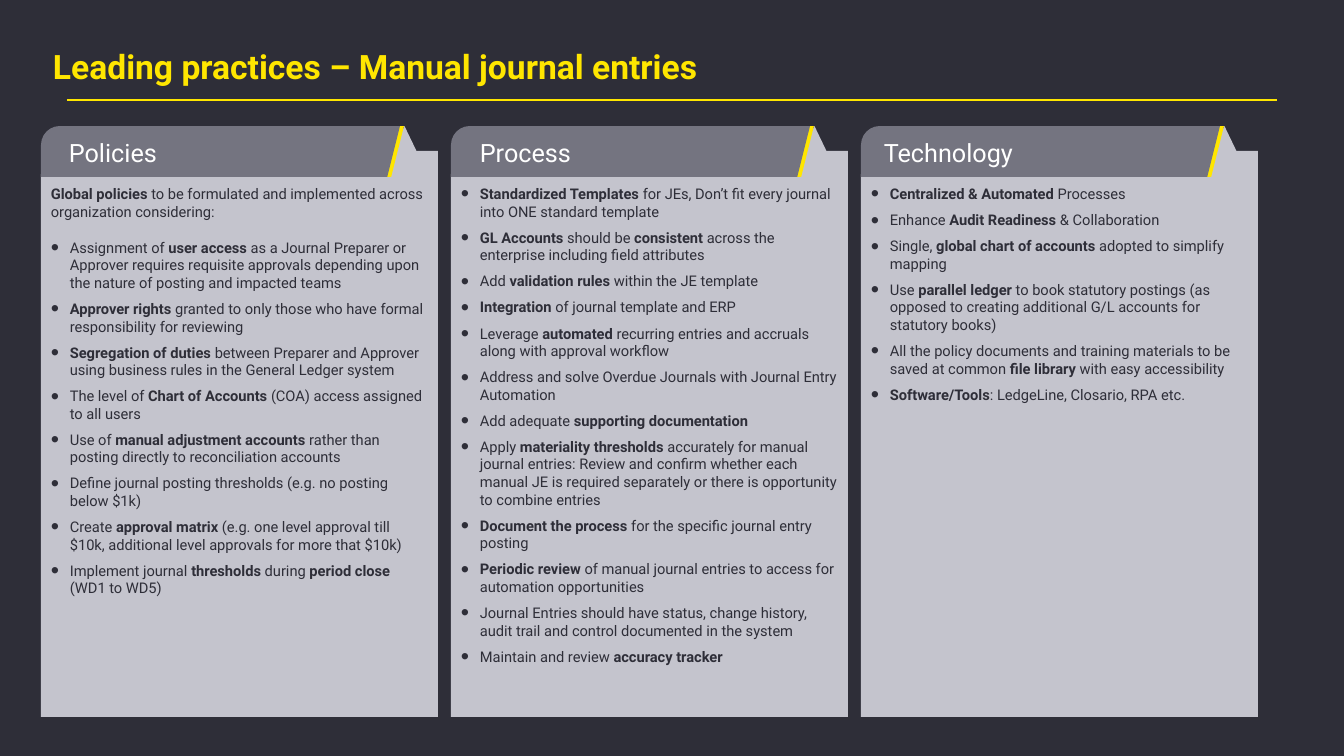
from lxml import etree
from pptx import Presentation
from pptx import util as u
from pptx.dml import color
from pptx.enum import shapes, text
from pptx.oxml import ns

PX = 914400 / 100.8  # EMU in one px

DARK = color.RGBColor(0x2E, 0x2E, 0x38)
YELLOW = color.RGBColor(0xFF, 0xE6, 0x00)
GREY = color.RGBColor(0x74, 0x74, 0x80)
LIGHT = color.RGBColor(0xC4, 0xC4, 0xCD)
WHITE = color.RGBColor(0xFF, 0xFF, 0xFF)

SHAPE = shapes.MSO_SHAPE
COLUMN_LEFT, COLUMN_STEP = 41, 410
PANEL_WIDTH = 397
HEADER_TOP, HEADER_HEIGHT = 126, 51

TITLE_FONT = {"name": "Roboto", "size": u.Pt(24), "bold": True}
HEADING_FONT = {"name": "Roboto", "size": u.Pt(18)}
BODY_FONT = {"name": "Roboto", "size": u.Pt(10.5)}

# Heading, heading offset, introduction, bullets; ** switches bold on and off
COLUMNS = [
    ("Policies", 18,
     "**Global policies **to be formulated and implemented across organization considering:", [
         "Assignment of **user access **as a Journal Preparer or Approver requires requisite "
         "approvals depending upon the nature of posting and impacted teams",
         "**Approver rights **granted to only those who have formal responsibility for reviewing",
         "**Segregation of duties **between Preparer and Approver using business rules in the "
         "General Ledger system",
         "The level of **Chart of Accounts **(COA) access assigned to all users",
         "Use of **manual adjustment accounts **rather than posting directly to "
         "reconciliation accounts",
         "Define journal posting thresholds (e.g. no posting below $1k)",
         "Create **approval matrix **(e.g. one level approval till $10k, additional level "
         "approvals for more that $10k)",
         "Implement journal **thresholds** during **period close **(WD1 to WD5)",
     ]),
    ("Process", 19, None, [
        "**Standardized Templates **for JEs, Don’t fit every journal into ONE standard template",
        "**GL Accounts **should be **consistent** across the enterprise including field attributes",
        "Add **validation rules **within the JE template",
        "**Integration** of journal template and ERP",
        "Leverage **automated** recurring entries and accruals along with approval workflow",
        "Address and solve Overdue Journals with Journal Entry Automation",
        "Add adequate **supporting documentation**",
        "Apply **materiality thresholds **accurately for manual journal entries: Review and "
        "confirm whether each manual JE is required separately or there is opportunity to "
        "combine entries",
        "**Document the process **for the specific journal entry posting",
        "**Periodic review **of manual journal entries to access for automation opportunities",
        "Journal Entries should have status, change history, audit trail and control "
        "documented in the system",
        "Maintain and review **accuracy tracker**",
    ]),
    ("Technology", 13, None, [
        "**Centralized & Automated **Processes",
        "Enhance **Audit Readiness **& Collaboration",
        "Single, **global chart of accounts **adopted to simplify mapping",
        "Use **parallel ledger **to book statutory postings (as opposed to creating additional "
        "G/L accounts for statutory books)",
        "All the policy documents and training materials to be saved at common "
        "**file library **with easy accessibility",
        "**Software/Tools**: LedgeLine, Closario, RPA etc.",
    ]),
]


def px(*lengths):
    return [u.Emu(round(length * PX)) for length in lengths]


def set_format(target, values):
    for name, value in values.items():
        setattr(target, name, value)


def add_block(parent, kind, left, top, width, height, fill, adjustments=()):
    shape = parent.shapes.add_shape(kind, *px(left, top, width, height))
    shape.shadow.inherit = False
    shape.fill.solid()
    shape.fill.fore_color.rgb = fill
    shape.line.fill.background()
    for index, value in enumerate(adjustments):
        shape.adjustments[index] = value


def add_text_box(parent, left, top, width, height, **frame_format):
    frame = parent.shapes.add_textbox(*px(left, top, width, height)).text_frame
    set_format(frame, {"word_wrap": True, "vertical_anchor": text.MSO_ANCHOR.TOP, **frame_format})
    return frame


def add_runs(paragraph, marked_text, font_format, font_color):
    for index, part in enumerate(marked_text.split("**")):
        if part:
            run = paragraph.add_run()
            run.text = part
            set_format(run.font, {"bold": index % 2 == 1, **font_format})
            run.font.color.rgb = font_color


def add_bullet(paragraph):
    properties = paragraph._p.get_or_add_pPr()
    indent = px(19)[0]
    properties.set("marL", str(indent))
    properties.set("indent", str(-indent))
    bullet_color = etree.SubElement(properties, ns.qn("a:buClr"))
    etree.SubElement(bullet_color, ns.qn("a:srgbClr"), val=str(DARK))
    etree.SubElement(properties, ns.qn("a:buSzPct"), val="160000")
    etree.SubElement(properties, ns.qn("a:buFont"), typeface="Arial")
    etree.SubElement(properties, ns.qn("a:buChar"), char="•")


def add_rule(slide, left, right, y):
    rule = slide.shapes.add_connector(shapes.MSO_CONNECTOR.STRAIGHT, *px(left, y, right, y))
    rule.line.color.rgb = YELLOW
    rule.line.width = u.Pt(1.56)
    etree.SubElement(rule._element.spPr, ns.qn("a:effectLst"))


def add_body(slide, left, introduction, bullets):
    frame = add_text_box(slide, left, 180, PANEL_WIDTH, 500)
    paragraph = frame.paragraphs[0]
    if introduction:
        paragraph.space_after = u.Pt(13)
        add_runs(paragraph, introduction, BODY_FONT, DARK)
        paragraph = frame.add_paragraph()
    for index, bullet in enumerate(bullets):
        if index:
            paragraph = frame.add_paragraph()
        add_bullet(paragraph)
        paragraph.space_after = u.Pt(6)
        add_runs(paragraph, bullet, BODY_FONT, DARK)


def add_header(slide, left, heading, heading_offset):
    group = slide.shapes.add_group_shape()
    tab_parts = [
        (SHAPE.ISOSCELES_TRIANGLE, 351, 25, 26, LIGHT, ()),
        (SHAPE.PARALLELOGRAM, 64, 299, HEADER_HEIGHT, YELLOW, ()),
        (SHAPE.PARALLELOGRAM, 46, 313, HEADER_HEIGHT, GREY, ()),
        (SHAPE.SNIP_ROUND_RECTANGLE, 0, 81, HEADER_HEIGHT, GREY, (0.37, 0)),
    ]
    for kind, offset, width, height, fill, adjustments in tab_parts:
        add_block(group, kind, left + offset, HEADER_TOP, width, height, fill, adjustments)
    frame = add_text_box(group, left + heading_offset, 132, 250, 40)
    add_runs(frame.paragraphs[0], heading, HEADING_FONT, WHITE)


def main():
    presentation = Presentation()
    presentation.slide_width, presentation.slide_height = px(1344, 756)
    slide = presentation.slides.add_slide(presentation.slide_layouts[6])
    slide.background.fill.solid()
    slide.background.fill.fore_color.rgb = DARK

    # Title and rule
    no_margins = dict.fromkeys(("margin_left", "margin_top", "margin_right", "margin_bottom"), 0)
    title = add_text_box(slide, 53, 46, 1210, 66, **no_margins)
    add_runs(title.paragraphs[0], "Leading practices – Manual journal entries", TITLE_FONT, YELLOW)
    add_rule(slide, 67, 1277, 100)

    # Three columns: panel, body text, header tab
    for index, (heading, heading_offset, introduction, bullets) in enumerate(COLUMNS):
        left = COLUMN_LEFT + index * COLUMN_STEP
        add_block(slide, SHAPE.SNIP_ROUND_RECTANGLE, left, 151, PANEL_WIDTH, 566, LIGHT, (0.06, 0))
        add_body(slide, left, introduction, bullets)
        add_header(slide, left, heading, heading_offset)

    presentation.save("out.pptx")


if __name__ == "__main__":
    main()
